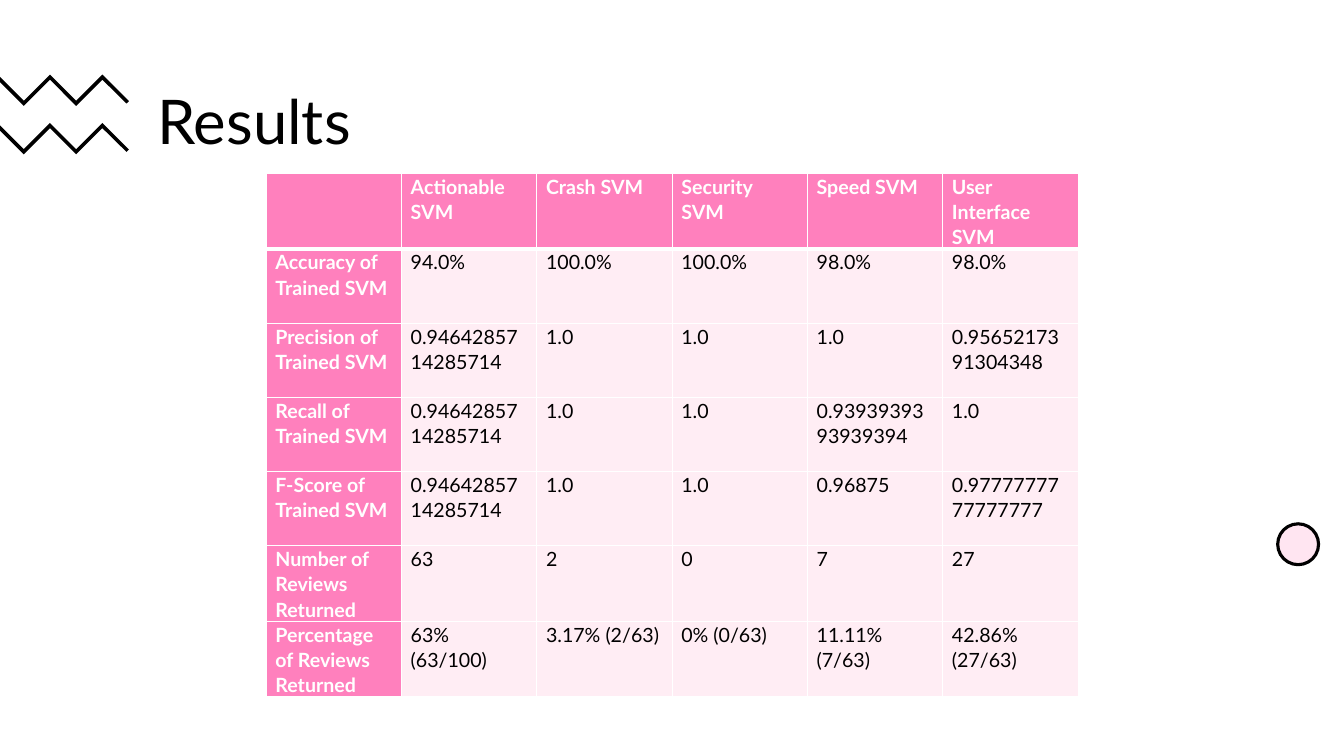
from lxml.etree import SubElement
from pptx import Presentation
from pptx.dml.color import RGBColor
from pptx.enum.shapes import MSO_SHAPE
from pptx.enum.text import MSO_ANCHOR, PP_ALIGN
from pptx.oxml.ns import qn
from pptx.util import Cm, Pt

COLORS = {"white": "FFFFFF", "black": "000000", "pink": "FF80BD", "blush": "FFEDF4"}

RESULTS = [
    ["", "Actionable SVM", "Crash SVM", "Security SVM", "Speed SVM", "User Interface SVM"],
    ["Accuracy of Trained SVM", "94.0%", "100.0%", "100.0%", "98.0%", "98.0%"],
    ["Precision of Trained SVM", "0.9464285714285714", "1.0", "1.0", "1.0",
     "0.9565217391304348"],
    ["Recall of Trained SVM", "0.9464285714285714", "1.0", "1.0",
     "0.9393939393939394", "1.0"],
    ["F-Score of Trained SVM", "0.9464285714285714", "1.0", "1.0", "0.96875",
     "0.9777777777777777"],
    ["Number of Reviews Returned", "63", "2", "0", "7", "27"],
    ["Percentage of Reviews Returned", "63% (63/100)", "3.17% (2/63)", "0% (0/63)",
     "11.11% (7/63)", "42.86% (27/63)"],
]


def rgb(name):
    return RGBColor.from_string(COLORS[name])


class ResultsSlide:
    font = "Lato"

    def __init__(self, slide):
        self.slide = slide
        slide.background.fill.solid()
        slide.background.fill.fore_color.rgb = rgb("white")

    def style_text(self, paragraph, size, color, spacing, bold=False):
        paragraph.alignment = PP_ALIGN.LEFT
        paragraph.line_spacing = spacing
        for run in paragraph.runs:
            run.font.name = self.font
            run.font.size = Pt(size)
            run.font.bold = bold
            run.font.color.rgb = rgb(color)

    def title(self, text, left, top, width, height):
        title = self.slide.shapes.title
        title.left, title.top = Cm(left), Cm(top)
        title.width, title.height = Cm(width), Cm(height)
        title.text_frame.text = text
        title.text_frame.vertical_anchor = MSO_ANCHOR.MIDDLE
        self.style_text(title.text_frame.paragraphs[0], 44, "black", 0.9)

    def zigzag(self, top, step=0.66, thickness=0.13):
        """Draw a 45° zigzag band that enters from the left slide edge."""
        turns = [(0.6 + i * step, 0 if i % 2 else step) for i in range(4)]
        upper = [(0, 0.06), *turns, (3.25, 0.67)]
        lower = [(3.19, 0.73), *((x, y + thickness) for x, y in reversed(turns)),
                 (0, 0.06 + thickness)]
        start, *rest = [(Cm(x), Cm(top + y)) for x, y in upper + lower]
        builder = self.slide.shapes.build_freeform(*start)
        builder.add_line_segments(rest, close=True)
        band = builder.convert_to_shape()
        band.shadow.inherit = False
        band.fill.solid()
        band.fill.fore_color.rgb = rgb("black")
        band.line.fill.background()

    def circle(self, left, top, diameter, opacity):
        circle = self.slide.shapes.add_shape(
            MSO_SHAPE.OVAL, Cm(left), Cm(top), Cm(diameter), Cm(diameter))
        circle.shadow.inherit = False
        circle.fill.solid()
        circle.fill.fore_color.rgb = rgb("pink")
        color = circle.fill._xPr.find(qn("a:solidFill"))[0]
        SubElement(color, qn("a:alpha"), val=str(opacity * 1000))
        circle.line.color.rgb = rgb("black")
        circle.line.width = Pt(2.25)

    def borders(self, cell, **widths):
        properties = cell._tc.get_or_add_tcPr()
        for side, width in widths.items():
            line = SubElement(properties, qn(f"a:ln{side}"), w=str(Pt(width)))
            fill = SubElement(line, qn("a:solidFill"))
            SubElement(fill, qn("a:srgbClr"), val=COLORS["white"])

    def table(self, rows, left, top, column_width, row_height):
        columns = len(rows[0])
        table = self.slide.shapes.add_table(
            len(rows), columns, Cm(left), Cm(top),
            Cm(column_width * columns), Cm(row_height * len(rows))).table
        table.first_col = True
        table.horz_banding = False
        for r, row in enumerate(rows):
            for c, text in enumerate(row):
                heading = r == 0 or c == 0
                cell = table.cell(r, c)
                self.borders(cell, L=1, R=1, T=3 if r == 1 else 1, B=3 if r == 0 else 1)
                cell.fill.solid()
                cell.fill.fore_color.rgb = rgb("pink" if heading else "blush")
                cell.margin_left = cell.margin_right = Cm(0.23)
                cell.margin_top = cell.margin_bottom = 0
                cell.text_frame.text = text
                self.style_text(cell.text_frame.paragraphs[0], 14,
                                "white" if heading else "black", 1.07, heading)


def main():
    deck = Presentation()
    deck.slide_width, deck.slide_height = Cm(33.87), Cm(19.05)
    results = ResultsSlide(deck.slides.add_slide(deck.slide_layouts[5]))
    results.title("Results", 3.71, 1.57, 27.08, 3.12)
    for top in (1.88, 3.1):
        results.zigzag(top)
    results.circle(32.2, 13.2, 1.03, opacity=20)
    results.table(RESULTS, 6.71, 4.37, 3.41, 1.87)
    deck.save("out.pptx")


if __name__ == "__main__":
    main()
